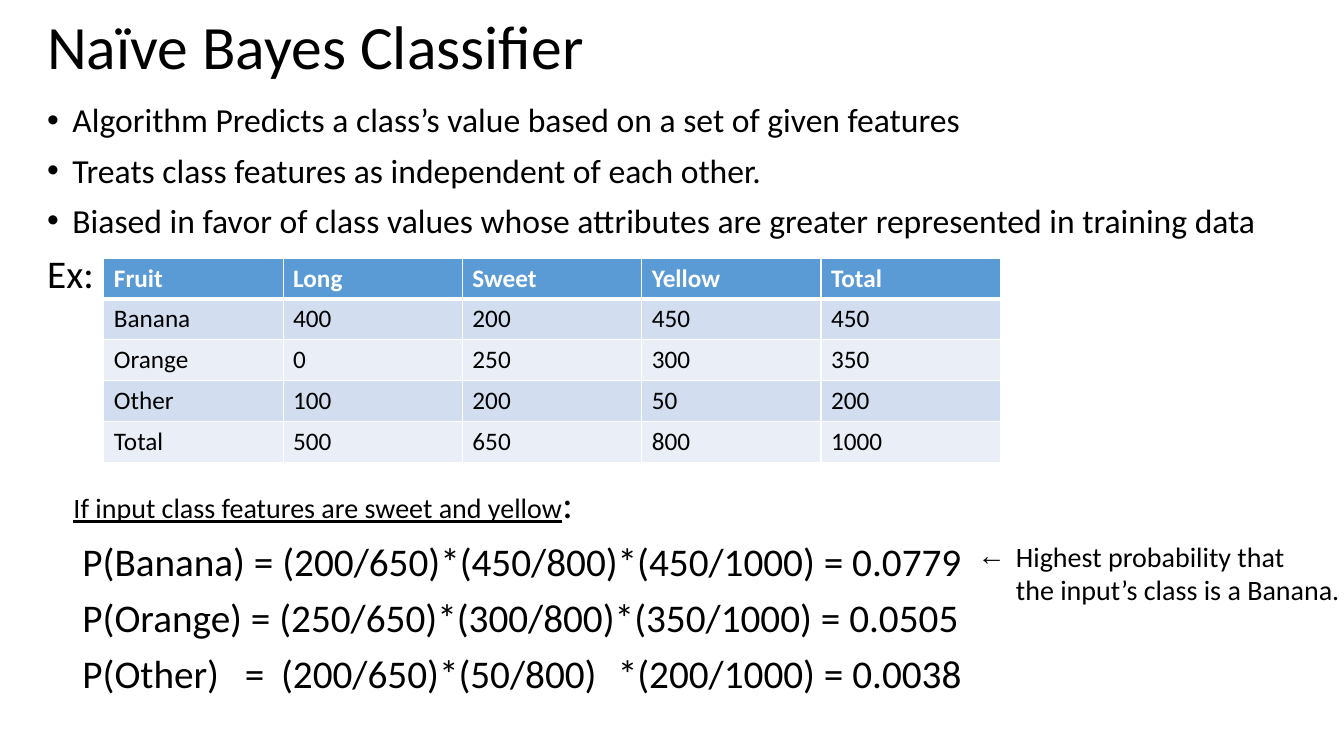
import dataclasses

import lxml.etree
import pptx
import pptx.dml.color
import pptx.enum.text
import pptx.oxml.ns
import pptx.util


@dataclasses.dataclass(frozen=True)
class Theme:
    font: str = "Calibri"
    ink: str = "000000"
    white: str = "FFFFFF"
    head: str = "5B9BD5"
    bands: tuple = ("D2DEEF", "EAEFF7")
    title: int = 44
    large: int = 28
    point: int = 24
    note: int = 20
    cell: int = 18


THEME = Theme()
WIDE = pptx.util.Inches(13.33)
HIGH = pptx.util.Inches(7.5)

POINTS = [
    "Algorithm Predicts a class’s value based on a set of given features",
    "Treats class features as independent of each other.",
    "Biased in favor of class values whose attributes are greater represented in training data",
]
FRUIT = [
    ("Fruit", "Long", "Sweet", "Yellow", "Total"),
    ("Banana", "400", "200", "450", "450"),
    ("Orange", "0", "250", "300", "350"),
    ("Other", "100", "200", "50", "200"),
    ("Total", "500", "650", "800", "1000"),
]
ODDS = [
    "P(Banana) = (200/650)*(450/800)*(450/1000) = 0.0779",
    "P(Orange) = (250/650)*(300/800)*(350/1000) = 0.0505",
    "P(Other)\t=\t(200/650)*(50/800)\t*(200/1000) = 0.0038",
]
STOPS = (1.61, 1.97, 5.31)


def share(left, top, width, height):
    """Turn percentages of the slide into lengths."""
    sides = (WIDE, HIGH, WIDE, HIGH)
    return [round(side * part / 100) for side, part in zip(sides, (left, top, width, height))]


def tint(code):
    return pptx.dml.color.RGBColor.from_string(code)


def child(parent, tag, **traits):
    node = lxml.etree.SubElement(parent, pptx.oxml.ns.qn(tag))
    for name, value in traits.items():
        node.set(name, str(value))
    return node


def style(run, size, color=THEME.ink, bold=False):
    run.font.name = THEME.font
    run.font.size = pptx.util.Pt(size)
    run.font.color.rgb = tint(color)
    run.font.bold = bold


def write(slide, spot, lines, size, tight=True):
    """Add a text box, one paragraph a line; tight sets the body spacing."""
    frame = slide.shapes.add_textbox(*share(*spot)).text_frame
    frame.word_wrap = True
    for index, line in enumerate(lines):
        para = frame.add_paragraph() if index else frame.paragraphs[0]
        para.text = line
        if tight:
            para.line_spacing = 0.9
            para.space_before = pptx.util.Pt(10)
        for run in para.runs:
            style(run, size)
    return frame


def indent(para, depth, mark=None):
    """Indent a paragraph, with its mark hanging in the margin."""
    props = para._p.get_or_add_pPr()
    props.set("marL", str(pptx.util.Inches(depth)))
    if mark:
        props.set("indent", str(-pptx.util.Inches(depth)))
        child(props, "a:buFont", typeface="Arial")
        child(props, "a:buChar", char=mark)


def align(para, stops):
    tabs = child(para._p.get_or_add_pPr(), "a:tabLst")
    for stop in stops:
        child(tabs, "a:tab", pos=pptx.util.Inches(stop), algn="l")


def border(cell, thick):
    """Draw white cell edges; thick is the lower edge in points."""
    props = cell._tc.get_or_add_tcPr()
    for index, (side, width) in enumerate(zip("LRTB", (1, 1, 1, thick))):
        edge = child(props, f"a:ln{side}", w=pptx.util.Pt(width))
        child(child(edge, "a:solidFill"), "a:srgbClr", val=THEME.white)
        props.insert(index, edge)


def chart(slide, spot, rows):
    """Add the table of fruit counts in equal columns and rows."""
    grid = slide.shapes.add_table(len(rows), len(rows[0]), *share(*spot)).table
    for down, row in enumerate(rows):
        top = down == 0
        for across, word in enumerate(row):
            cell = grid.cell(down, across)
            cell.text_frame.text = word
            style(cell.text_frame.paragraphs[0].runs[0], THEME.cell,
                  THEME.white if top else THEME.ink, top)
            cell.fill.solid()
            cell.fill.fore_color.rgb = tint(THEME.head if top else THEME.bands[(down - 1) % 2])
            border(cell, 3 if down < 2 and top else 1)


def main():
    deck = pptx.Presentation()
    deck.slide_width, deck.slide_height = WIDE, HIGH
    slide = deck.slides.add_slide(deck.slide_layouts[6])

    title = write(slide, (2.78, 0, 93.2, 13.07), ["Naïve Bayes Classifier"], THEME.title)
    title.vertical_anchor = pptx.enum.text.MSO_ANCHOR.MIDDLE
    title.paragraphs[0].space_before = pptx.util.Pt(0)

    body = write(slide, (2.78, 13.07, 97.2, 27), POINTS + ["Ex:"], THEME.point)
    for para in body.paragraphs[:-1]:
        indent(para, 0.25, "•")
    body.paragraphs[-1].runs[0].font.size = pptx.util.Pt(THEME.large)

    chart(slide, (7.73, 34.13, 66.7, 27.07), FRUIT)

    given = write(slide, (4.73, 63.47, 60, 7.5),
                  ["If input class features are sweet and yellow"], THEME.note)
    given.paragraphs[0].runs[0].font.underline = True
    colon = given.paragraphs[0].add_run()
    colon.text = ":"
    style(colon, THEME.large)

    odds = write(slide, (5.4, 71.07, 68, 22), ODDS, THEME.large)
    align(odds.paragraphs[-1], STOPS)

    note = write(slide, (72, 70.67, 29.2, 10.27),
                 ["Highest probability that", "the input’s class is a Banana."],
                 THEME.note, tight=False)
    for para, mark in zip(note.paragraphs, ("←", None)):
        indent(para, 0.38, mark)

    deck.save("out.pptx")


if __name__ == "__main__":
    main()
